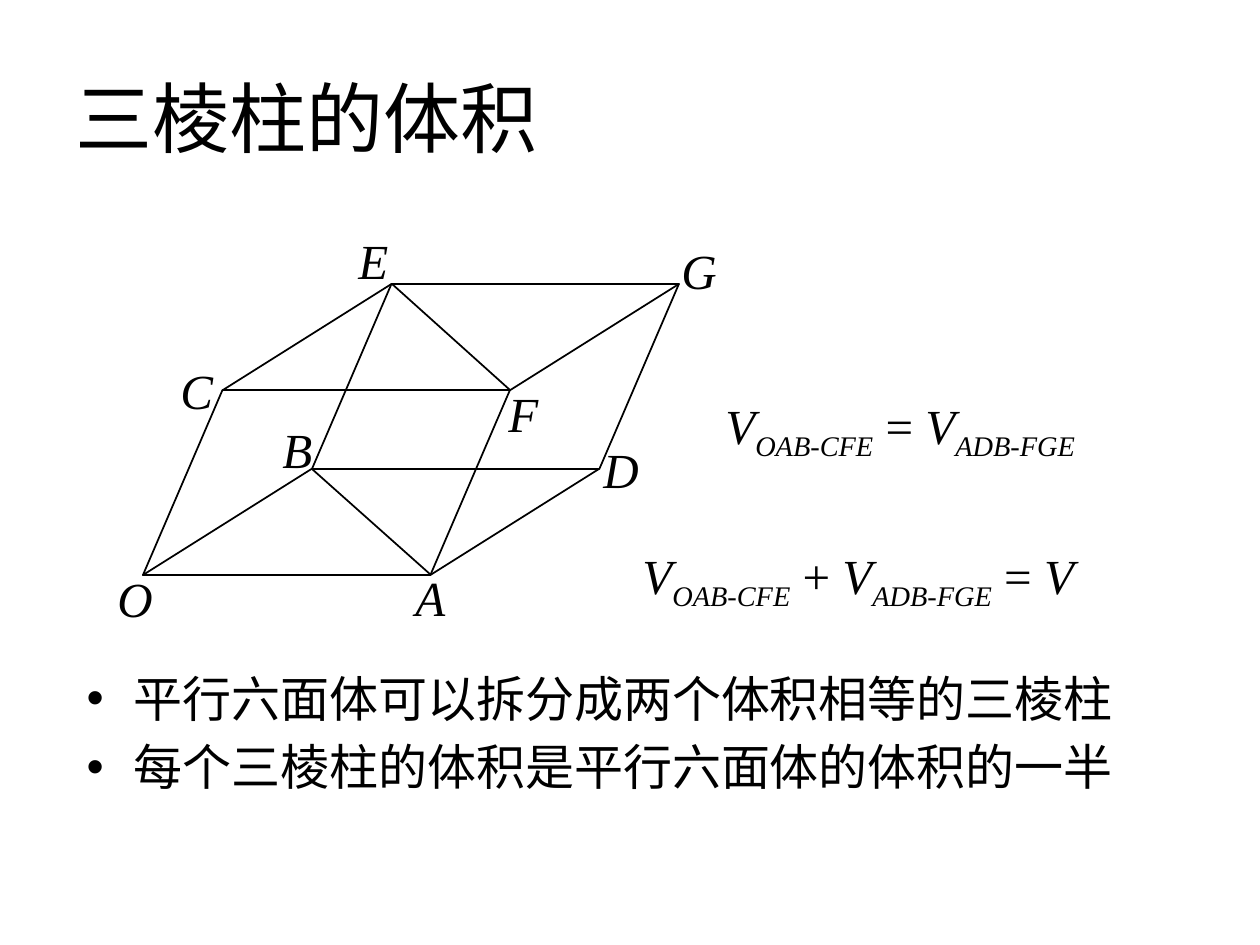
"""Build the slide on the volume of a triangular prism."""
from lxml import etree
from pptx import Presentation
from pptx.dml.color import RGBColor
from pptx.enum import shapes, text
from pptx.oxml import ns
from pptx.util import Emu, Pt

PX = 914400 // 126
BLACK = "000000"


def color(hex_string):
    return RGBColor.from_string(hex_string)


def add_run(paragraph, words, size, font, italic=None, baseline=None):
    run = paragraph.add_run()
    run.text = words
    run.font.size = Pt(size)
    run.font.name = font
    run.font.italic = italic
    run.font.color.rgb = color(BLACK)
    properties = run.font._element
    east_asian = etree.SubElement(properties, ns.qn("a:ea"))
    east_asian.set("typeface", "Noto Sans CJK SC")
    if baseline:
        properties.set("baseline", str(baseline))


prs = Presentation()
prs.slide_width, prs.slide_height = Emu(1260 * PX), Emu(945 * PX)
slide = prs.slides.add_slide(prs.slide_layouts[1])

title = slide.shapes.title
title.left, title.top, title.width, title.height = [Emu(v * PX) for v in (63, 38, 1134, 157)]
title.text_frame.vertical_anchor = text.MSO_ANCHOR.MIDDLE
heading = title.text_frame.paragraphs[0]
heading.alignment = text.PP_ALIGN.LEFT
add_run(heading, "三棱柱的体积", 44, "Calibri")

conclusions = slide.placeholders[1]
conclusions.left, conclusions.top, conclusions.width, conclusions.height = [
    Emu(v * PX) for v in (74, 662, 1134, 159)]
for index, sentence in enumerate(["平行六面体可以拆分成两个体积相等的三棱柱",
                                  "每个三棱柱的体积是平行六面体的体积的一半"]):
    frame = conclusions.text_frame
    point = frame.add_paragraph() if index else frame.paragraphs[0]
    add_run(point, sentence, 28, "Noto Sans CJK SC")

faces = [(143, 390, 367, 185, 0.43), (143, 469, 456, 106, 1.59),
         (312, 284, 367, 185, 0.43), (223, 284, 456, 106, 1.59)]
for left, top, width, height, slant in faces:
    face = slide.shapes.add_shape(shapes.MSO_SHAPE.PARALLELOGRAM,
                                  left * PX, top * PX, width * PX, height * PX)
    face.adjustments[0] = slant
    face.shadow.inherit = False
    face.fill.background()
    face.line.color.rgb = color(BLACK)
    face.line.width = Pt(1)

for x1, y1, x2, y2 in [(392, 284, 510, 390), (312, 469, 431, 575)]:
    diagonal = slide.shapes.add_connector(shapes.MSO_CONNECTOR.STRAIGHT,
                                          x1 * PX, y1 * PX, x2 * PX, y2 * PX)
    diagonal.line.color.rgb = color(BLACK)
    diagonal.line.width = Pt(1)
    etree.SubElement(diagonal._element.spPr, ns.qn("a:effectLst"))

vertices = [("O", 105, 562, 62), ("C", 168, 354, 58), ("D", 591, 433, 62), ("A", 403, 561, 55),
            ("B", 270, 413, 55), ("E", 346, 224, 55), ("F", 496, 377, 55), ("G", 669, 234, 62)]
for letter, left, top, width in vertices:
    vertex = slide.shapes.add_textbox(left * PX, top * PX, width * PX, 72 * PX)
    vertex.text_frame.word_wrap = False
    vertex.text_frame.auto_size = text.MSO_AUTO_SIZE.SHAPE_TO_FIT_TEXT
    add_run(vertex.text_frame.paragraphs[0], letter, 28, "Times New Roman", True)

first_prism = [("V", True, None), ("OAB-CFE", True, -25000)]
second_prism = [("V", True, None), ("ADB-FGE", True, -25000)]
equals = [(" = ", False, None)]
plus = [(" + ", False, None)]
whole = [("V", True, None)]
formulas = [(713, 389, 427, first_prism + equals + second_prism),
            (630, 539, 510, first_prism + plus + second_prism + equals + whole)]
for left, top, width, terms in formulas:
    formula = slide.shapes.add_textbox(left * PX, top * PX, width * PX, 72 * PX)
    formula.text_frame.word_wrap = True
    formula.text_frame.auto_size = text.MSO_AUTO_SIZE.SHAPE_TO_FIT_TEXT
    for words, italic, baseline in terms:
        add_run(formula.text_frame.paragraphs[0], words, 28, "Times New Roman", italic, baseline)

prs.save("out.pptx")
